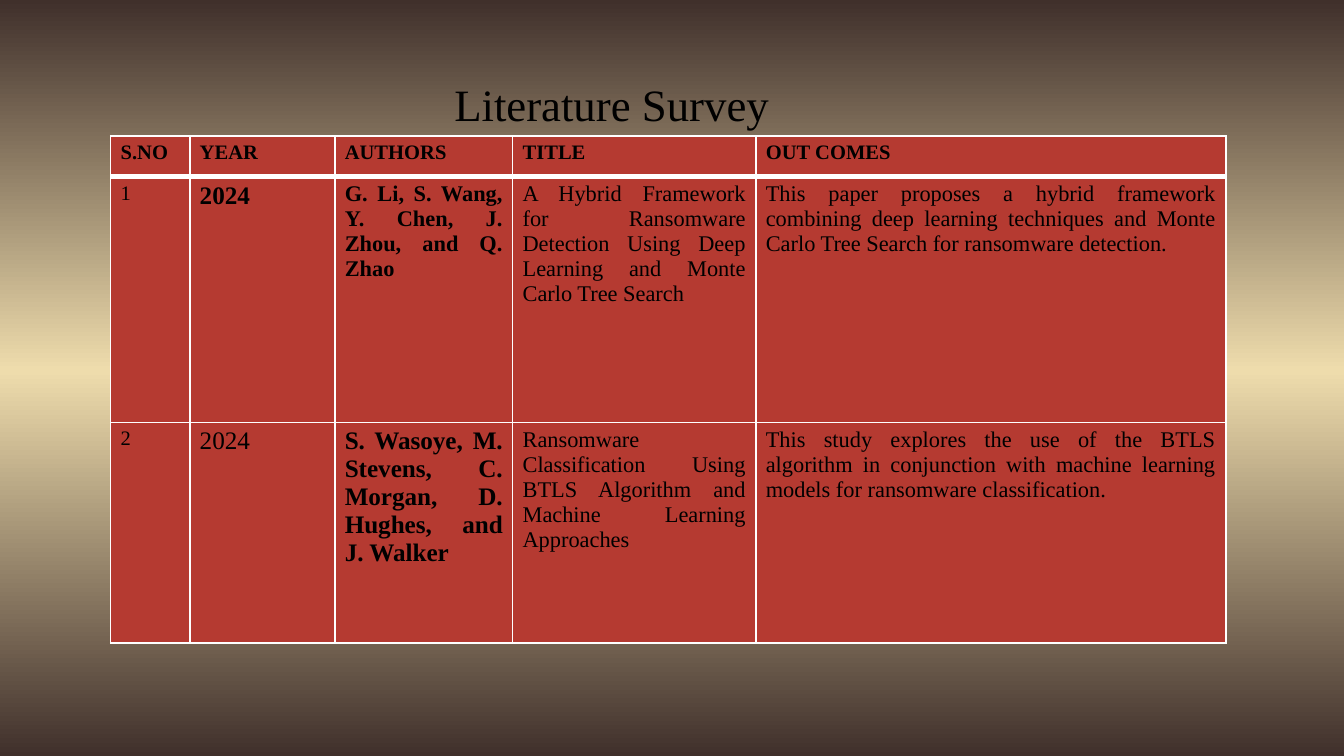
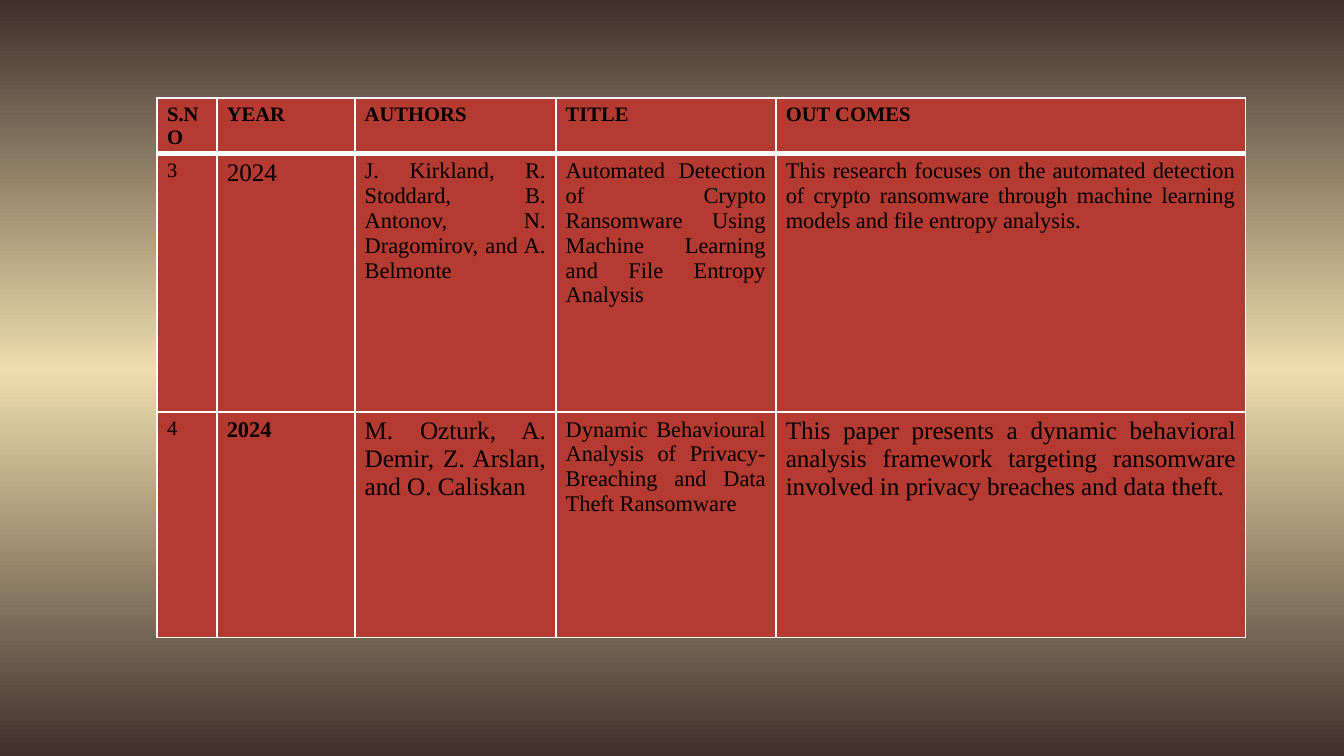
from copy import deepcopy
from dataclasses import dataclass

from lxml import etree
from pptx import Presentation
from pptx.dml.color import RGBColor
from pptx.enum.text import MSO_ANCHOR, PP_ALIGN
from pptx.oxml.ns import qn
from pptx.util import Pt

LEFT, CENTER, JUSTIFY = PP_ALIGN.LEFT, PP_ALIGN.CENTER, PP_ALIGN.JUSTIFY
TOP, BOTTOM = MSO_ANCHOR.TOP, MSO_ANCHOR.BOTTOM
TITLE_ONLY, BLANK = 5, 6


@dataclass(frozen=True)
class Theme:
    font: str = "Times New Roman"
    ink: str = "000000"
    cell: str = "B53A31"
    rule: str = "FFFFFF"
    gradient: tuple = ((0, "40302B"), (0.49, "EEDCAC"), (1, "40302B"))
    title: float = 24
    small: float = 11
    body: float = 12
    large: float = 13.5
    thin: float = 1
    thick: float = 3


THEME = Theme()
CELL_FORMAT = {
    "margin_left": Pt(5.35),
    "margin_right": Pt(5.35),
    "margin_top": Pt(2.7),
    "margin_bottom": Pt(2.7),
    "vertical_anchor": TOP,
}
SMALL, BODY, LARGE = (THEME.small, False), (THEME.body, False), (THEME.large, False)
HEADING, BODY_BOLD, LARGE_BOLD = (THEME.small, True), (THEME.body, True), (THEME.large, True)
HEADINGS = [(text, HEADING) for text in ("S.NO", "YEAR", "AUTHORS", "TITLE", "OUT COMES")]

SURVEYS = [
    {
        "title": "Literature Survey",
        "title_box": (128.2, 25.2, 398.9, 48.2),
        "origin": (59.3, 72.8),
        "columns": (42.4, 77.7, 95.3, 130.3, 251.9),
        "rows": (22, 131.6, 118.1),
        "papers": [
            [
                ("1", SMALL),
                ("2024", LARGE_BOLD),
                ("G. Li, S. Wang, Y. Chen, J. Zhou, and Q. Zhao", BODY_BOLD),
                ("A Hybrid Framework for Ransomware Detection Using Deep Learning "
                 "and Monte Carlo Tree Search", BODY),
                ("This paper proposes a hybrid framework combining deep learning techniques "
                 "and Monte Carlo Tree Search for ransomware detection.", BODY),
            ],
            [
                ("2", SMALL),
                ("2024", LARGE),
                ("S. Wasoye, M. Stevens, C. Morgan, D. Hughes, and J. Walker", LARGE_BOLD),
                ("Ransomware Classification Using BTLS Algorithm and Machine Learning "
                 "Approaches", BODY),
                ("This study explores the use of the BTLS algorithm in conjunction with "
                 "machine learning models for ransomware classification.", BODY),
            ],
        ],
    },
    {
        "origin": (84.2, 52.4),
        "columns": (32, 73.9, 107.7, 117.9, 251.7),
        "rows": (22, 138.5, 120.7),
        "papers": [
            [
                ("3", SMALL),
                ("2024", LARGE),
                ("J. Kirkland, R. Stoddard, B. Antonov, N. Dragomirov, and A. Belmonte", BODY),
                ("Automated Detection of Crypto Ransomware Using Machine Learning and "
                 "File Entropy Analysis", BODY),
                ("This research focuses on the automated detection of crypto ransomware "
                 "through machine learning models and file entropy analysis.", BODY),
            ],
            [
                ("4", SMALL),
                ("2024", BODY_BOLD),
                ("M. Ozturk, A. Demir, Z. Arslan, and O. Caliskan", LARGE),
                ("Dynamic Behavioural Analysis of Privacy-Breaching and Data Theft "
                 "Ransomware", BODY),
                ("This paper presents a dynamic behavioral analysis framework targeting "
                 "ransomware involved in privacy breaches and data theft.", LARGE),
            ],
        ],
    },
]


def apply_format(target, values):
    for attribute, value in values.items():
        setattr(target, attribute, value)


def write_text(frame, text, size, bold, alignment):
    paragraph = frame.paragraphs[0]
    paragraph.alignment = alignment
    run = paragraph.add_run()
    run.text = text
    apply_format(run.font, {"name": THEME.font, "size": Pt(size), "bold": bold})
    run.font.color.rgb = RGBColor.from_string(THEME.ink)


def paint_background(master):
    fill = master.background.fill
    fill.gradient()
    fill.gradient_angle = 270
    stop_list = master.element.find(".//" + qn("a:gsLst"))
    stop_list.insert(1, deepcopy(stop_list[0]))
    for stop, (position, color) in zip(fill.gradient_stops, THEME.gradient):
        stop.position = position
        stop.color.rgb = RGBColor.from_string(color)


def draw_borders(cell, widths):
    properties = cell._tc.get_or_add_tcPr()
    for side, width in widths.items():
        line = etree.SubElement(properties, qn(f"a:ln{side}"), w=str(Pt(width)))
        solid = etree.SubElement(line, qn("a:solidFill"))
        etree.SubElement(solid, qn("a:srgbClr"), val=THEME.rule)


def fill_cell(cell, text, style, row):
    apply_format(cell, CELL_FORMAT)
    draw_borders(cell, {
        "L": THEME.thin,
        "R": THEME.thin,
        "T": THEME.thick if row == 1 else THEME.thin,
        "B": THEME.thick if row == 0 else THEME.thin,
    })
    cell.fill.solid()
    cell.fill.fore_color.rgb = RGBColor.from_string(THEME.cell)
    write_text(cell.text_frame, text, *style, JUSTIFY if row else LEFT)


def place_title(slide, text, box):
    title = slide.shapes.title
    apply_format(title, dict(zip(("left", "top", "width", "height"), map(Pt, box))))
    apply_format(title.text_frame, {"vertical_anchor": BOTTOM, "word_wrap": True})
    write_text(title.text_frame, text, THEME.title, False, CENTER)


def place_papers(slide, origin, columns, rows, papers):
    left, top = origin
    table = slide.shapes.add_table(
        len(rows), len(columns), Pt(left), Pt(top), Pt(sum(columns)), Pt(sum(rows))
    ).table
    table.horz_banding = False
    for column, width in zip(table.columns, columns):
        column.width = Pt(width)
    for row, height in zip(table.rows, rows):
        row.height = Pt(height)
    for r, entries in enumerate([HEADINGS, *papers]):
        for c, (text, style) in enumerate(entries):
            fill_cell(table.cell(r, c), text, style, r)


def add_survey_slide(deck, survey):
    layout = TITLE_ONLY if "title" in survey else BLANK
    slide = deck.slides.add_slide(deck.slide_layouts[layout])
    if "title" in survey:
        place_title(slide, survey["title"], survey["title_box"])
    place_papers(slide, survey["origin"], survey["columns"], survey["rows"], survey["papers"])


def main():
    deck = Presentation()
    apply_format(deck, {"slide_width": Pt(720), "slide_height": Pt(405)})
    paint_background(deck.slide_master)
    for survey in SURVEYS:
        add_survey_slide(deck, survey)
    deck.save("out.pptx")


if __name__ == "__main__":
    main()
